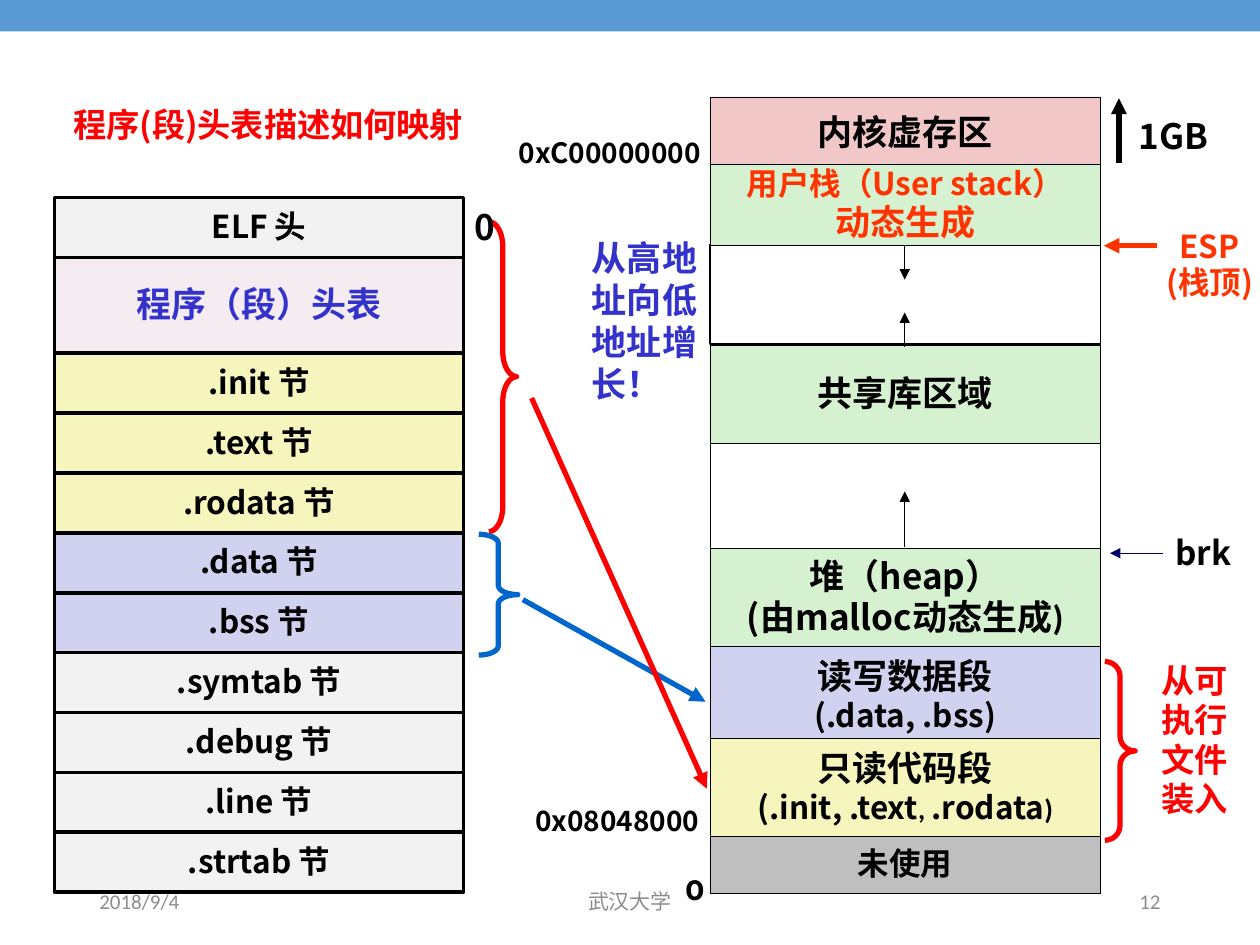
from lxml.etree import SubElement
from pptx import Presentation
from pptx.dml.color import RGBColor
from pptx.enum.shapes import MSO_CONNECTOR as Link, MSO_SHAPE as Kind
from pptx.enum.text import MSO_ANCHOR as Anchor, MSO_AUTO_SIZE as Auto, PP_ALIGN as Align
from pptx.oxml.ns import qn
from pptx.util import Pt

color = RGBColor.from_string
NOTO, CALI = "Noto Sans CJK SC", "Calibri"
GREEN, YELLOW, LILAC, GRAY = "D5F1CF", "F6F5BD", "D1D1F0", "F2F2F2"
RED, BLUE, ORANGE, INK = "FF0000", "0066CC", "FF3300", "000000"


def write(shape, lines, hue=INK, align=Align.LEFT, anchor=Anchor.TOP,
          wrap=False, bold=True, space=0.98):
    """Each line is a list of (text, size, font) runs."""
    frame = shape.text_frame
    frame.auto_size = Auto.NONE
    frame.word_wrap = wrap
    frame.vertical_anchor = anchor
    for i, line in enumerate(lines):
        para = frame.add_paragraph() if i else frame.paragraphs[0]
        para.alignment, para.line_spacing = align, space
        for text, size, name in line:
            run = para.add_run()
            run.text = text
            font = run.font
            font.size, font.name, font.bold = Pt(size), name, bold
            font.color.rgb = color(hue)
            SubElement(font._element, qn("a:ea"), typeface=name)


def arrow(x1, y1, x2, y2, hue, width):
    line = shapes.add_connector(Link.STRAIGHT, Pt(x1), Pt(y1), Pt(x2), Pt(y2))
    line.line.color.rgb = color(hue)
    line.line.width = Pt(width)
    SubElement(line.line._get_or_add_ln(), qn("a:tailEnd"), type="triangle")
    SubElement(line._element.spPr, qn("a:effectLst"))


deck = Presentation()
deck.slide_width, deck.slide_height = Pt(720), Pt(540)
slide = deck.slides.add_slide(deck.slide_layouts[5])
shapes = slide.shapes

# Title
title = shapes.title
title.left, title.top, title.width, title.height = Pt(34.6), Pt(56.2), Pt(257), Pt(30.2)
write(title, [[("程序(段)头表描述如何映射", 19, NOTO)]], RED, wrap=True, space=1)

# Top bar
bar = shapes.add_shape(Kind.RECTANGLE, 0, 0, Pt(720), Pt(18))
bar.shadow.inherit = False
bar.fill.solid()
bar.fill.fore_color.rgb = color("5B9BD5")
bar.line.fill.background()

# Footer
for text, x, w, align in [("2018/9/4", 49.7, 162, Align.LEFT),
                          ("武汉大学", 238.3, 243.4, Align.CENTER),
                          ("12", 508.3, 162, Align.RIGHT)]:
    box = shapes.add_textbox(Pt(x), Pt(500.4), Pt(w), Pt(28.8))
    write(box, [[(text, 12, CALI)]], "8C8C8C", align, Anchor.MIDDLE, True, False, 1)

# ELF file sections, stacked from the top
blocks = []
y = 113
for text, fill in [("ELF 头", GRAY), ("程序（段）头表", "993366"),
                   (".init 节", YELLOW), (".text 节", YELLOW), (".rodata 节", YELLOW),
                   (".data 节", LILAC), (".bss 节", LILAC), (".symtab 节", GRAY),
                   (".debug 节", GRAY), (".line 节", GRAY), (".strtab 节", GRAY)]:
    head = fill == "993366"
    h = 54.7 if head else 34.2
    blocks.append((31, y, 234, h, fill, 2, "3333CC" if head else INK,
                   [[(text, 20 if head else 18, NOTO)]]))
    y += h

# Memory areas
for y, h, fill, width, hue, lines in [
    (139.7, 56.9, "FFFFFF", 0.75, INK, []),
    (55.4, 41, "F1C7C7", 0.25, INK, [[("内核虚存区", 20, NOTO)]]),
    (197.3, 56.2, GREEN, 0.25, INK, [[("共享库区域", 20, NOTO)]]),
    (253.4, 60.5, "FFFFFF", 0.25, INK, []),
    (313.2, 56.2, GREEN, 0.25, INK,
     [[("堆（heap）", 20, NOTO)], [("(由malloc动态生成", 20, NOTO), (")", 20, CALI)]]),
    (93.6, 46.8, GREEN, 0.25, ORANGE,
     [[("用户栈（User stack）", 18, NOTO)], [("动态生成", 20, CALI)]]),
    (477.4, 33.1, "BFBFBF", 0.25, INK, [[("未使用", 18, NOTO)]]),
    (369.4, 56.2, LILAC, 0.25, INK,
     [[("读写数据段", 20, NOTO)], [("(.data, .bss)", 18, NOTO)]]),
    (421.9, 56.2, YELLOW, 0.25, INK,
     [[("只读代码段", 20, NOTO)],
      [("(.init, .text", 18, NOTO), (", ", 16, CALI), (".rodata", 18, NOTO), (")", 16, CALI)]]),
]:
    blocks.append((405.7, y, 223.2, h, fill, width, hue, lines))

# Draw both stacks
for x, y, w, h, fill, width, hue, lines in blocks:
    box = shapes.add_shape(Kind.RECTANGLE, Pt(x), Pt(y), Pt(w), Pt(h))
    box.shadow.inherit = False
    box.fill.solid()
    box.fill.fore_color.rgb = color(fill)
    if fill == "993366":
        tint = box._element.spPr.find(qn("a:solidFill"))[0]
        SubElement(tint, qn("a:alpha"), val="9000")
    box.line.color.rgb = color(INK)
    box.line.width = Pt(width)
    write(box, lines, hue, Align.CENTER, Anchor.MIDDLE)

# Braces
for x, y, w, h, bend, hue in [(279.4, 126.7, 15.8, 177.1, 0.915, RED),
                              (273.6, 305.3, 22.3, 69.1, 0.234, BLUE),
                              (631.4, 378, 17.3, 102.2, 0.486, RED)]:
    brace = shapes.add_shape(Kind.RIGHT_BRACE, Pt(x), Pt(y), Pt(w), Pt(h))
    brace.shadow.inherit = False
    brace.adjustments[0] = bend
    brace.fill.background()
    brace.line.color.rgb = color(hue)
    brace.line.width = Pt(3)

# Arrows: mapping, pointers, growth
for ends in [(298.8, 342.7, 403.2, 401, BLUE, 3),
             (303.8, 227.5, 403.9, 450.7, RED, 3),
             (661, 140.4, 630.7, 140.4, ORANGE, 3),
             (639.4, 92.9, 639.4, 56.2, INK, 3),
             (664.6, 316.1, 634.3, 316.1, "000066", 0.25),
             (517, 312.5, 517, 280.8, INK, 0.25),
             (517, 198, 517, 178.6, INK, 0.25),
             (517, 140.4, 517, 159.8, INK, 0.25)]:
    arrow(*ends)

# Labels
for text, x, y, w, h, size, name, hue, wrap, space in [
    ("0", 264.2, 115.2, 25.2, 31, 20, NOTO, INK, True, 0.98),
    ("brk", 664.6, 302.4, 46.1, 28.8, 19, NOTO, INK, False, 0.94),
    ("0xC00000000", 289.4, 75.6, 123.1, 25.2, 16, NOTO, INK, False, 0.94),
    ("0x08048000", 298.8, 457.2, 112.3, 25.2, 16, NOTO, INK, False, 0.94),
    ("0", 384.5, 496.1, 25.2, 25.9, 16, "Montserrat", INK, False, 0.98),
    ("从可执行文件装入", 656.6, 375.1, 59, 96.5, 19, CALI, RED, True, 0.98),
    ("1GB", 643.7, 61.9, 66.2, 31, 20, NOTO, INK, True, 1),
    ("从高地址向低地址增长！", 331.2, 131.8, 76.3, 104.4, 20, NOTO, "3333CC", True, 1),
]:
    box = shapes.add_textbox(Pt(x), Pt(y), Pt(w), Pt(h))
    write(box, [[(text, size, name)]], hue, wrap=wrap, space=space)

# Stack pointer
box = shapes.add_textbox(Pt(662.4), Pt(127.4), Pt(57.6), Pt(49))
box.text_frame.margin_left = box.text_frame.margin_right = 0
write(box, [[("ESP", 18, NOTO)], [("(栈顶)", 18, NOTO)]], ORANGE, Align.CENTER,
      wrap=True, space=0.96)

deck.save("out.pptx")
